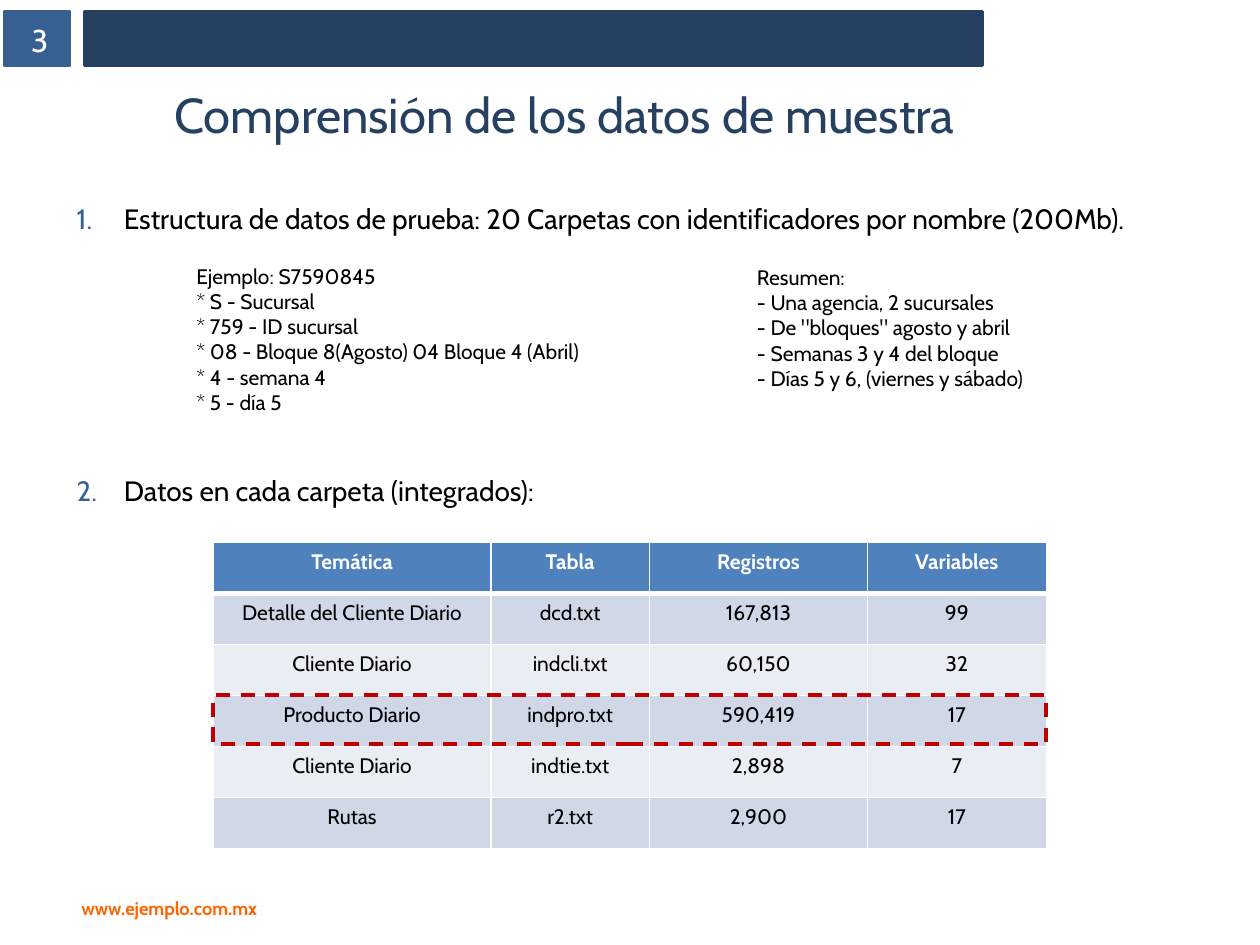
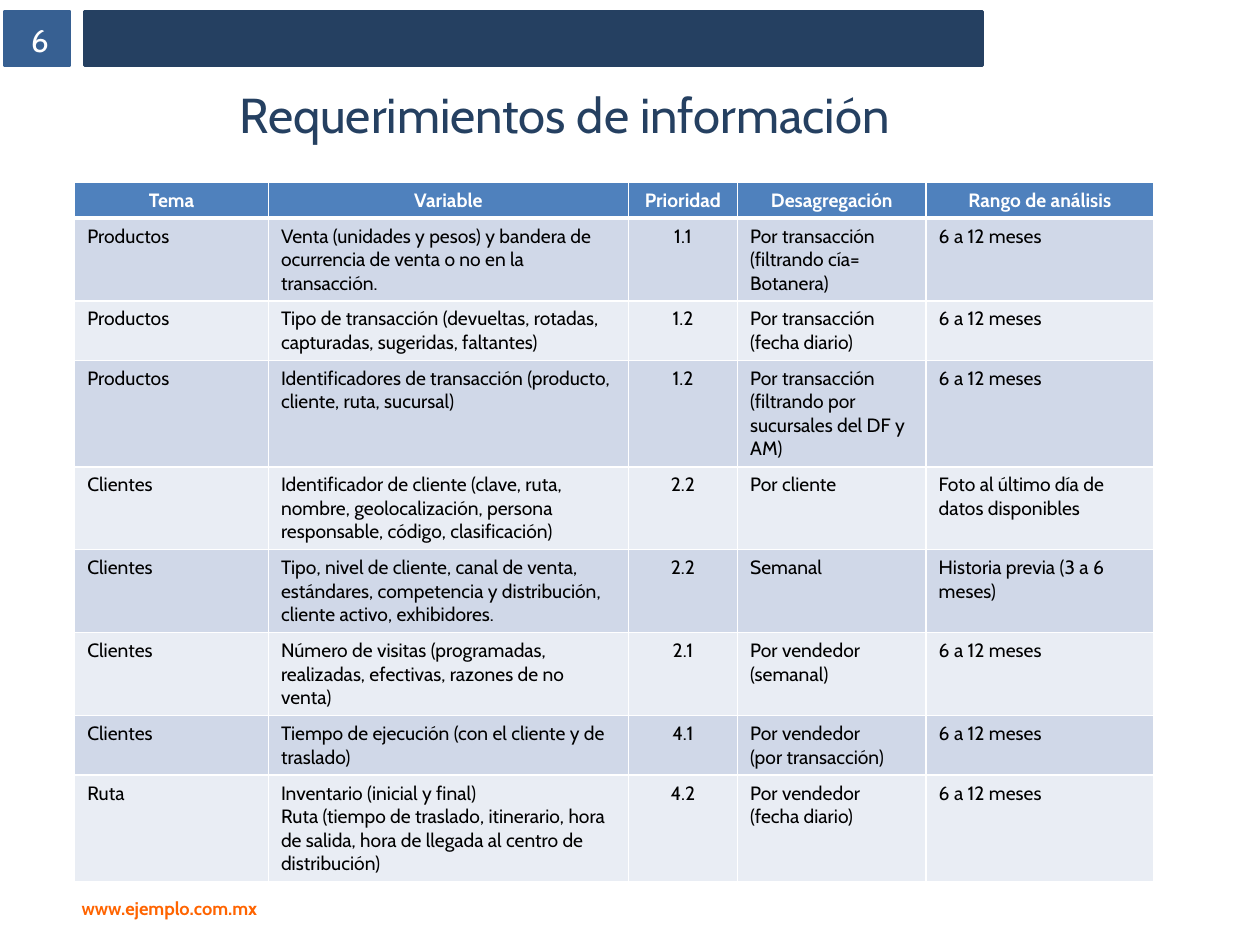
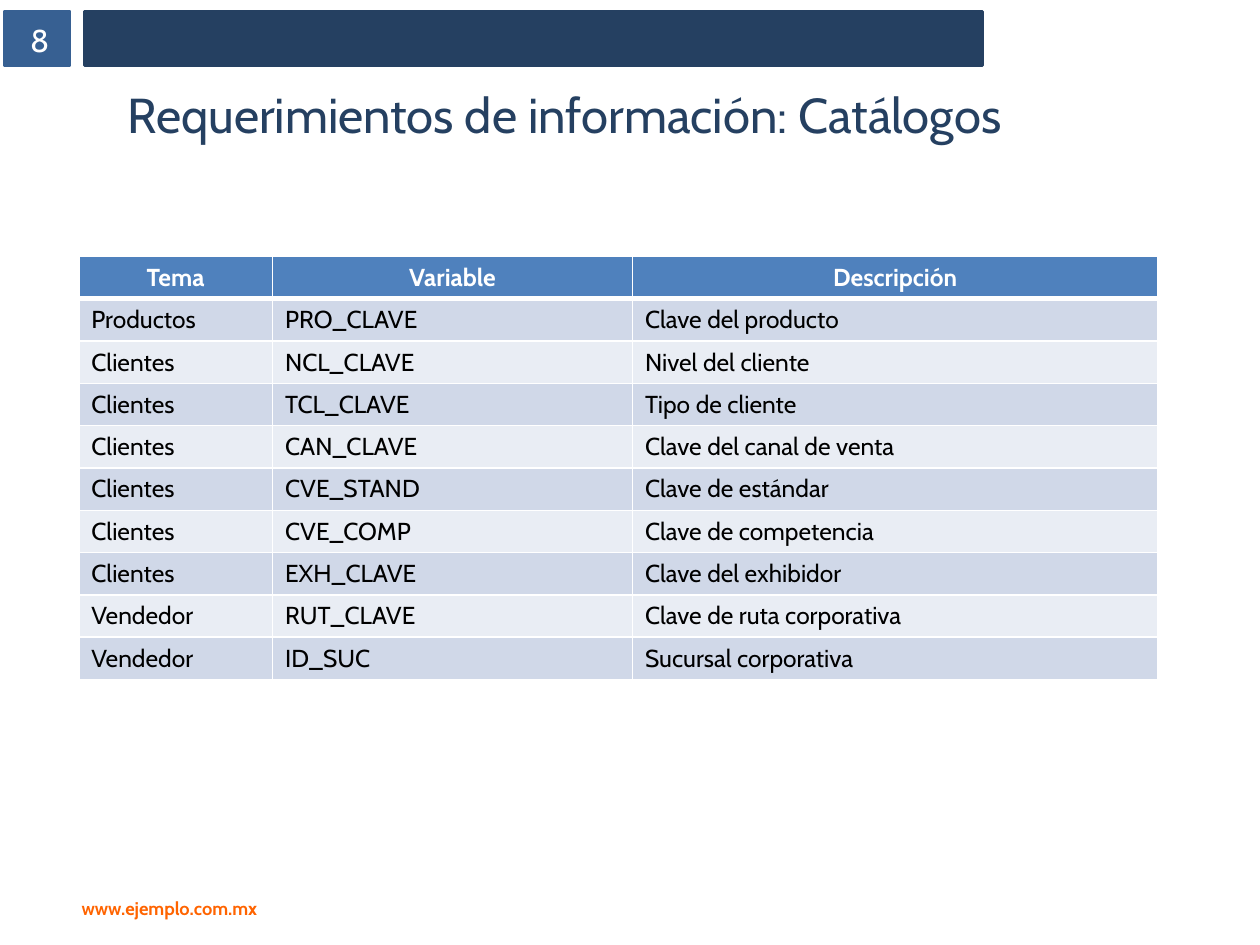
from lxml import etree
from pptx import Presentation
from pptx.dml.color import RGBColor
from pptx.enum.dml import MSO_LINE
from pptx.enum.shapes import MSO_SHAPE
from pptx.enum.text import MSO_ANCHOR, PP_ALIGN
from pptx.oxml.ns import qn
from pptx.util import Pt

LEFT, CENTER = PP_ALIGN.LEFT, PP_ALIGN.CENTER
MIDDLE = MSO_ANCHOR.MIDDLE
RECTANGLE = MSO_SHAPE.RECTANGLE
DASH = MSO_LINE.DASH
TITLE_ONLY = 5
FONT = "Cabin"
SITE = "www.ejemplo.com.mx"
CELL_PADDING = 7.2

COLORS = {
    "navy": "254061",
    "blue": "376092",
    "header": "4F81BD",
    "odd_row": "D0D8E8",
    "even_row": "E9EDF4",
    "orange": "FF6400",
    "red": "C00000",
    "white": "FFFFFF",
    "black": "000000",
}

FILES = [
    ["Temática", "Tabla", "Registros", "Variables"],
    ["Detalle del Cliente Diario", "dcd.txt", "167,813", "99"],
    ["Cliente Diario", "indcli.txt", "60,150", "32"],
    ["Producto Diario", "indpro.txt", "590,419", "17"],
    ["Cliente Diario", "indtie.txt", "2,898", "7"],
    ["Rutas", "r2.txt", "2,900", "17"],
]

REQUIREMENTS = [
    ["Tema", "Variable", "Prioridad", "Desagregación", "Rango de análisis"],
    ["Productos",
     "Venta (unidades y pesos) y bandera de ocurrencia de venta o no en la transacción.",
     "1.1", "Por transacción (filtrando cía= Botanera)", "6 a 12 meses"],
    ["Productos",
     "Tipo de transacción (devueltas, rotadas, capturadas, sugeridas, faltantes)",
     "1.2", "Por transacción\n(fecha diario)", "6 a 12 meses"],
    ["Productos",
     "Identificadores de transacción (producto, cliente, ruta, sucursal)",
     "1.2", "Por transacción (filtrando por sucursales del DF y AM)", "6 a 12 meses"],
    ["Clientes",
     "Identificador de cliente (clave, ruta, nombre, geolocalización, "
     "persona responsable, código, clasificación)",
     "2.2", "Por cliente", "Foto al último día de datos disponibles"],
    ["Clientes",
     "Tipo, nivel de cliente, canal de venta, estándares, competencia y "
     "distribución, cliente activo, exhibidores.",
     "2.2", "Semanal", "Historia previa (3 a 6 meses)"],
    ["Clientes",
     "Número de visitas (programadas, realizadas, efectivas, razones de no venta)",
     "2.1", "Por vendedor\n(semanal)", "6 a 12 meses"],
    ["Clientes", "Tiempo de ejecución (con el cliente y de traslado)",
     "4.1", "Por vendedor\n(por transacción)", "6 a 12 meses"],
    ["Ruta",
     "Inventario (inicial y final)\nRuta (tiempo de traslado, itinerario, "
     "hora de salida, hora de llegada al centro de distribución)",
     "4.2", "Por vendedor\n(fecha diario)", "6 a 12 meses"],
]
REQUIREMENT_LINES = [1, 3, 2, 4, 3, 3, 3, 2, 4]

CATALOGS = [
    ["Tema", "Variable", "Descripción"],
    ["Productos", "PRO_CLAVE", "Clave del producto"],
    ["Clientes", "NCL_CLAVE", "Nivel del cliente"],
    ["Clientes", "TCL_CLAVE", "Tipo de cliente"],
    ["Clientes", "CAN_CLAVE", "Clave del canal de venta"],
    ["Clientes", "CVE_STAND", "Clave de estándar"],
    ["Clientes", "CVE_COMP", "Clave de competencia"],
    ["Clientes", "EXH_CLAVE", "Clave del exhibidor"],
    ["Vendedor", "RUT_CLAVE", "Clave de ruta corporativa"],
    ["Vendedor", "ID_SUC", "Sucursal corporativa"],
]

STRUCTURE = [
    "Estructura de datos de prueba: 20 Carpetas con identificadores por nombre (200Mb).",
    "Datos en cada carpeta (integrados):",
]
EXAMPLE = [
    "Ejemplo: S7590845",
    "* S - Sucursal",
    "* 759 - ID sucursal",
    "* 08 - Bloque 8(Agosto) 04 Bloque 4 (Abril)",
    "* 4 - semana 4",
    "* 5 - día 5",
]
SUMMARY = [
    "Resumen:",
    "- Una agencia, 2 sucursales",
    '- De "bloques" agosto y abril',
    "- Semanas 3 y 4 del bloque",
    "- Días 5 y 6, (viernes y sábado)",
]


def rgb(color):
    return RGBColor.from_string(COLORS[color])


def points(*lengths):
    return [Pt(length) for length in lengths]


def write(frame, text, size, color="black", align=LEFT, bold=False):
    frame.text = text
    font_format = {"name": FONT, "size": Pt(size), "bold": bold}
    for paragraph in frame.paragraphs:
        paragraph.alignment = align
        for run in paragraph.runs:
            for attribute, value in font_format.items():
                setattr(run.font, attribute, value)
            run.font.color.rgb = rgb(color)


def add_text(slide, area, text, size, wrap=True, **style):
    frame = slide.shapes.add_textbox(*points(*area)).text_frame
    frame.word_wrap = wrap
    write(frame, text, size, **style)
    return frame


def add_box(slide, area, line, fill=None, dash=None):
    box = slide.shapes.add_shape(RECTANGLE, *points(*area))
    box.shadow.inherit = False
    if fill:
        box.fill.solid()
        box.fill.fore_color.rgb = rgb(fill)
    else:
        box.fill.background()
    box.line.color.rgb = rgb(line)
    box.line.width = Pt(2)
    if dash:
        box.line.dash_style = dash


def add_numbered(slide, area, items, size, gap):
    frame = add_text(slide, area, "\n".join(items), size)
    for paragraph in frame.paragraphs:
        paragraph.space_after = Pt(gap)
        properties = paragraph._p.get_or_add_pPr()
        properties.set("marL", str(Pt(27)))
        properties.set("indent", str(Pt(-27)))
        bullet_color = etree.SubElement(properties, qn("a:buClr"))
        etree.SubElement(bullet_color, qn("a:srgbClr"), val=COLORS["blue"])
        etree.SubElement(properties, qn("a:buFont"), typeface="+mj-lt")
        etree.SubElement(properties, qn("a:buAutoNum"), type="arabicPeriod")


def set_borders(cell, top, bottom):
    properties = cell._tc.get_or_add_tcPr()
    for side, width in {"L": 1, "R": 1, "T": top, "B": bottom}.items():
        border = etree.SubElement(properties, qn(f"a:ln{side}"), w=str(Pt(width)))
        fill = etree.SubElement(border, qn("a:solidFill"))
        etree.SubElement(fill, qn("a:srgbClr"), val=COLORS["white"])


def add_data_table(slide, left, top, widths, heights, rows, size, centered=()):
    area = points(left, top, sum(widths), sum(heights))
    table = slide.shapes.add_table(len(rows), len(widths), *area).table
    for column, width in zip(table.columns, widths):
        column.width = Pt(width)
    for r, (values, height) in enumerate(zip(rows, heights)):
        table.rows[r].height = Pt(height)
        header = r == 0
        band = "header" if header else ("even_row", "odd_row")[r % 2]
        for c, value in enumerate(values):
            cell = table.cell(r, c)
            set_borders(cell, 3 if r == 1 else 1, 3 if header else 1)
            cell.fill.solid()
            cell.fill.fore_color.rgb = rgb(band)
            write(cell.text_frame, value, size,
                  color="white" if header else "black",
                  align=CENTER if header or c in centered else LEFT,
                  bold=header)


def add_page(deck, number, heading):
    slide = deck.slides.add_slide(deck.slide_layouts[TITLE_ONLY])
    add_text(slide, (39.6, 509, 130.3, 20.2), SITE, 10.5, wrap=False,
             color="orange", bold=True)
    add_box(slide, (2.9, 6.5, 36.7, 31), "blue", "blue")
    add_box(slide, (48.2, 6.5, 513.4, 31), "navy", "navy")
    add_text(slide, (-8.6, 8.6, 62.6, 26), str(number), 18,
             color="white", align=CENTER)
    title = slide.shapes.title
    title.left, title.top, title.width, title.height = points(1.4, 42.5, 642.2, 45.4)
    title.text_frame.vertical_anchor = MIDDLE
    write(title.text_frame, heading, 28, color="navy", align=CENTER)
    return slide


def add_sample_page(deck):
    slide = add_page(deck, 3, "Comprensión de los datos de muestra")
    add_numbered(slide, (36.7, 111.6, 663.1, 373), STRUCTURE, 16, 136.5)
    add_text(slide, (425.5, 147.6, 252, 80), "\n".join(SUMMARY), 12)
    add_text(slide, (105.1, 146.9, 252, 94.3), "\n".join(EXAMPLE), 12)
    widths = [158.6, 90.7, 124.5, 102.2]
    add_data_table(slide, 121.9, 309.9, widths, [29.16] * len(FILES), FILES, 12,
                   centered=range(len(widths)))
    add_box(slide, (121.9, 397.2, sum(widths), 28.1), "red", dash=DASH)


def add_requirements_page(deck):
    slide = add_page(deck, 6, "Requerimientos de información")
    heights = [CELL_PADDING + 13.4 * lines for lines in REQUIREMENT_LINES]
    add_data_table(slide, 42.7, 104, [110.7, 205.7, 62.4, 107.8, 130], heights,
                   REQUIREMENTS, 11, centered=[2])


def add_catalogs_page(deck):
    slide = add_page(deck, 8, "Requerimientos de información: Catálogos")
    add_data_table(slide, 45, 146.5, [110.7, 205.7, 300.4],
                   [CELL_PADDING + 17] * len(CATALOGS), CATALOGS, 14)


def main():
    deck = Presentation()
    deck.slide_width, deck.slide_height = points(720, 540)
    add_sample_page(deck)
    add_requirements_page(deck)
    add_catalogs_page(deck)
    deck.save("out.pptx")


main()
